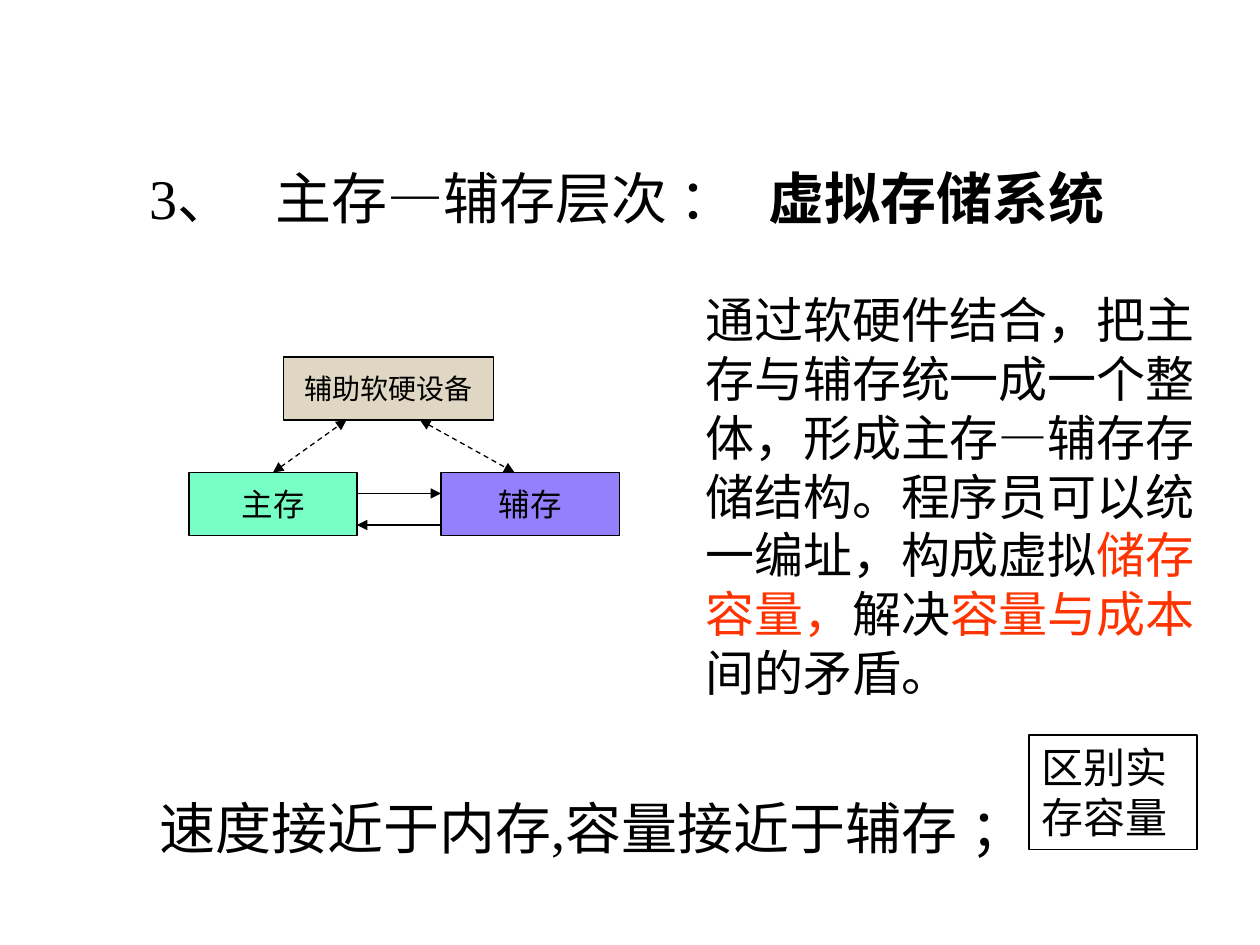
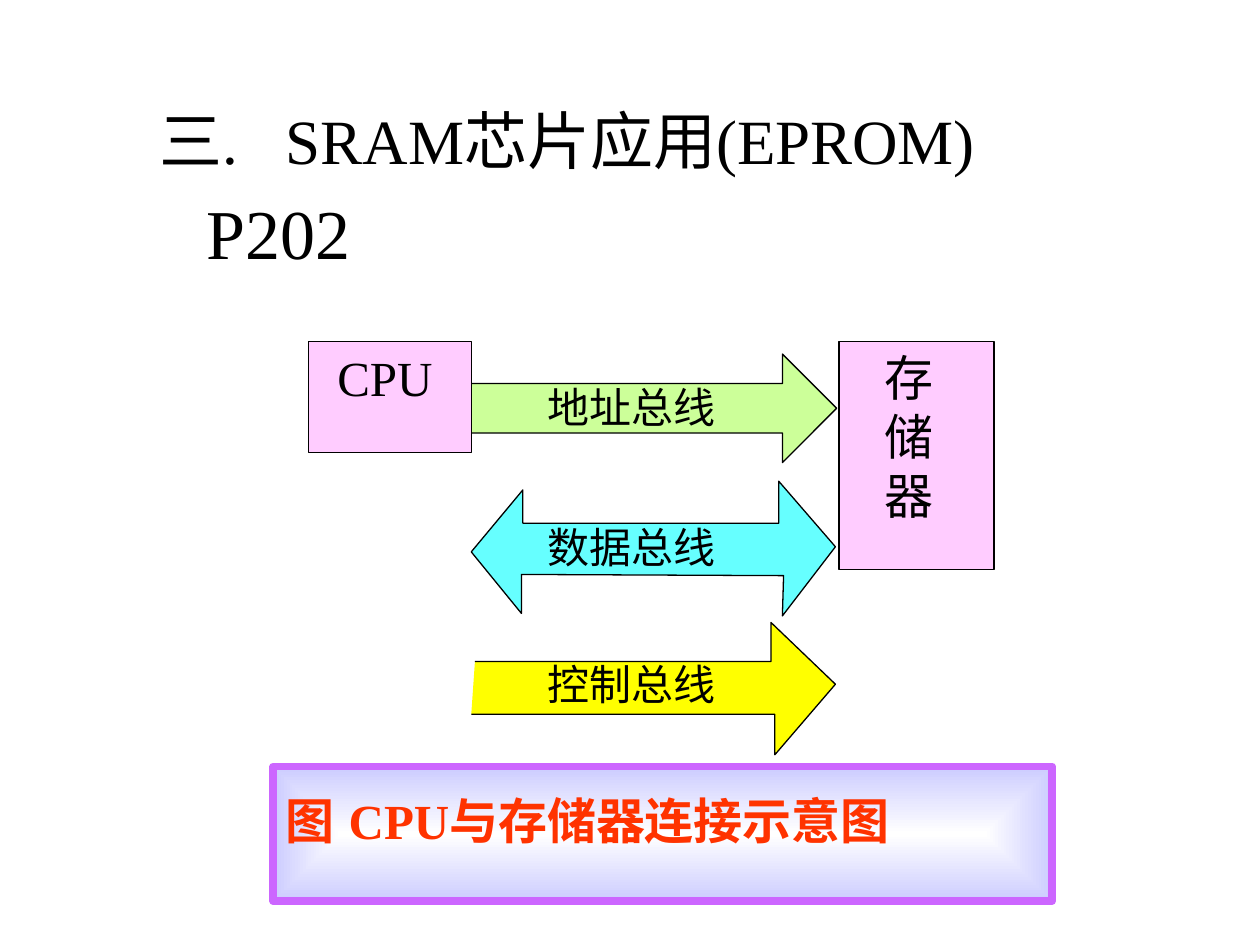
from lxml import etree
from pptx import Presentation
from pptx.dml.color import RGBColor
from pptx.enum.dml import MSO_LINE
from pptx.enum.shapes import MSO_CONNECTOR, MSO_SHAPE
from pptx.enum.text import MSO_ANCHOR, MSO_AUTO_SIZE, PP_ALIGN
from pptx.oxml.ns import qn
from pptx.util import Pt

LEFT, CENTER = PP_ALIGN.LEFT, PP_ALIGN.CENTER
TOP, MIDDLE = MSO_ANCHOR.TOP, MSO_ANCHOR.MIDDLE
RECTANGLE, RIGHT_ARROW = MSO_SHAPE.RECTANGLE, MSO_SHAPE.RIGHT_ARROW
STRAIGHT, DASH = MSO_CONNECTOR.STRAIGHT, MSO_LINE.DASH
NO_FIT = MSO_AUTO_SIZE.NONE
TITLE_ONLY = 5

FONT = "Times New Roman"
BLACK, RED, PINK = "000000", "FF3300", "FFCCFF"
LINE_WIDTH = 0.75

# Boxes are (left, top, width, height) in points.
MEMORY_TITLE = "3、\t主存—辅存层次 ："
MEMORY_SUBJECT = "虚拟存储系统"
MEMORY_BLOCKS = [
    ("辅助软硬设备", (162, 204, 120, 36), "DFD6C3", 16),
    ("主存", (108, 270, 96, 36), "77FFC5", 18),
    ("辅存", (252, 270, 102, 36), "947FFD", 18),
]
MEMORY_ARROWS = [  # start, end, both ends pointed and dashed
    ((204, 282), (252, 282), False),
    ((252, 300), (204, 300), False),
    ((156, 270), (198, 240), True),
    ((240, 240), (294, 270), True),
]
EXPLANATION = [
    ("通过软硬件结合，把主存与辅存统一成一个整体，形成主存—辅存存储结构。"
     "程序员可以统一编址，构成虚拟", BLACK),
    ("储存容量，", RED),
    ("解决", BLACK),
    ("容量与成本", RED),
    ("间的矛盾。", BLACK),
]
CONCLUSION = "速度接近于内存,容量接近于辅存 ；"
SIDE_NOTE = "区别实存容量"

CHIP_TITLE = "三.\tSRAM芯片应用(EPROM)"
CHIP_PAGE = "P202"
CAPTION = "图\tCPU与存储器连接示意图"
BUS_LABELS = [("地址总线", 214.5), ("数据总线", 294.5), ("控制总线", 372.5)]
DATA_BUS = [(298.8, 299), (445, 299), (445, 275), (477.4, 312.5),
            (447.1, 352), (447.8, 329), (298, 328.3), (298, 350.6),
            (269.3, 315.4), (298.8, 280)]
CONTROL_BUS = [(271.4, 378), (440.6, 378), (440.6, 355.7), (477.4, 391),
               (442.8, 431.3), (442.8, 408.2), (269.3, 408.2)]


def color(value):
    return RGBColor.from_string(value)


def points(values):
    return [Pt(value) for value in values]


def add_paragraph(frame, spans, first=False, size=32, bold=False, align=LEFT,
                  spacing=None, tab=None, indent=0):
    """Write (text, colour) spans, or one black string, as a paragraph."""
    para = frame.paragraphs[0] if first else frame.add_paragraph()
    para.alignment = align
    properties = para._p.get_or_add_pPr()
    properties.set("marL", str(Pt(indent)))
    properties.set("indent", "0")
    if tab:
        tabs = etree.SubElement(properties, qn("a:tabLst"))
        etree.SubElement(tabs, qn("a:tab"), pos=str(Pt(tab)), algn="l")
    if spacing:
        para.line_spacing = spacing
    for text, shade in [(spans, BLACK)] if isinstance(spans, str) else spans:
        span = para.add_run()
        span.text = text
        span.font.name = FONT
        span.font.size = Pt(size)
        span.font.bold = bold
        span.font.color.rgb = color(shade)


def write(shape, spans, anchor=TOP, wrap=True, **style):
    frame = shape.text_frame
    frame.auto_size = NO_FIT
    frame.vertical_anchor = anchor
    frame.word_wrap = wrap
    add_paragraph(frame, spans, first=True, **style)
    return frame


def add_page(deck, title, title_box, **style):
    page = deck.slides.add_slide(deck.slide_layouts[TITLE_ONLY])
    heading = page.shapes.title
    heading.left, heading.top, heading.width, heading.height = points(title_box)
    return page, write(heading, title, **style)


def add_text(page, box, spans, **style):
    return write(page.shapes.add_textbox(*points(box)), spans, **style)


def paint(shape, fill=None, line=BLACK, width=LINE_WIDTH):
    shape.shadow.inherit = False
    if fill:
        shape.fill.solid()
        shape.fill.fore_color.rgb = color(fill)
    else:
        shape.fill.background()
    shape.line.color.rgb = color(line)
    shape.line.width = Pt(width)
    return shape


def add_block(page, box, kind=RECTANGLE, **look):
    return paint(page.shapes.add_shape(kind, *points(box)), **look)


def add_arrow(page, start, end, two_way):
    arrow = page.shapes.add_connector(STRAIGHT, *points(start + end))
    arrow.line.color.rgb = color(BLACK)
    arrow.line.width = Pt(LINE_WIDTH)
    if two_way:
        arrow.line.dash_style = DASH
    outline = arrow.line._get_or_add_ln()
    for tip in ("a:headEnd", "a:tailEnd") if two_way else ("a:tailEnd",):
        etree.SubElement(outline, qn(tip), type="triangle")
    etree.SubElement(arrow._element.spPr, qn("a:effectLst"))


def add_outline(page, corners, fill, close):
    builder = page.shapes.build_freeform(*points(corners[0]))
    builder.add_line_segments([points(corner) for corner in corners[1:]], close=close)
    paint(builder.convert_to_shape(), fill=fill)


def fill_from_center(shape, inner, outer):
    """Give the shape a gradient that runs from its centre to its edges."""
    shape.fill.gradient()
    for stop, shade, position in zip(shape.fill.gradient_stops, (inner, outer), (0, 1)):
        stop.color.rgb = color(shade)
        stop.position = position
    gradient = shape._element.spPr.find(qn("a:gradFill"))
    gradient.remove(gradient.find(qn("a:lin")))
    route = etree.SubElement(gradient, qn("a:path"), path="shape")
    etree.SubElement(route, qn("a:fillToRect"), l="50000", t="50000", r="50000", b="50000")


def build_memory_page(deck):
    page, _ = add_page(deck, MEMORY_TITLE, (78, 90, 612, 50), tab=92.5)
    add_text(page, (432, 90, 234, 45), MEMORY_SUBJECT, bold=True)
    for text, box, fill, size in MEMORY_BLOCKS:
        write(add_block(page, box, fill=fill), text, anchor=MIDDLE, wrap=False,
              size=size, align=CENTER)
    for arrow in MEMORY_ARROWS:
        add_arrow(page, *arrow)
    add_text(page, (396, 162, 294, 276.5), EXPLANATION, size=28)
    add_text(page, (84, 450, 510.5, 45), CONCLUSION)
    write(add_block(page, (588, 420, 96, 65.5)), SIDE_NOTE, size=24)


def build_chip_page(deck):
    page, heading = add_page(deck, CHIP_TITLE, (84, 48, 588, 66),
                             size=36, spacing=1.15, tab=70.5)
    add_paragraph(heading, CHIP_PAGE, size=40, spacing=1.15, indent=27)

    add_outline(page, CONTROL_BUS, "FFFF00", close=False)
    add_outline(page, DATA_BUS, "66FFFF", close=True)
    address_bus = add_block(page, (269.3, 202.3, 208.8, 62), RIGHT_ARROW, fill="CCFF99")
    address_bus.adjustments[0] = 0.457
    address_bus.adjustments[1] = 0.499
    for text, top in BUS_LABELS:
        add_text(page, (306, top, 110, 36), text, size=24, wrap=False)

    processor = add_block(page, (176.4, 195, 93, 63.4), fill=PINK)
    write(processor, "CPU", size=28, align=CENTER).margin_right = Pt(13)
    memory = add_block(page, (479.5, 195, 88.5, 130.3), fill=PINK)
    frame = write(memory, "存", size=28, indent=19)
    for text in "储器":
        add_paragraph(frame, text, size=28, indent=19)

    caption = add_block(page, (156.2, 438, 445, 77), line="CC66FF", width=4.5)
    fill_from_center(caption, "FFFFFF", "CCCCFF")
    write(caption, [(CAPTION, RED)], size=28, bold=True, spacing=1.3, tab=59)


def main():
    deck = Presentation()
    deck.slide_width, deck.slide_height = Pt(720), Pt(540)
    build_memory_page(deck)
    build_chip_page(deck)
    deck.save("out.pptx")


if __name__ == "__main__":
    main()
